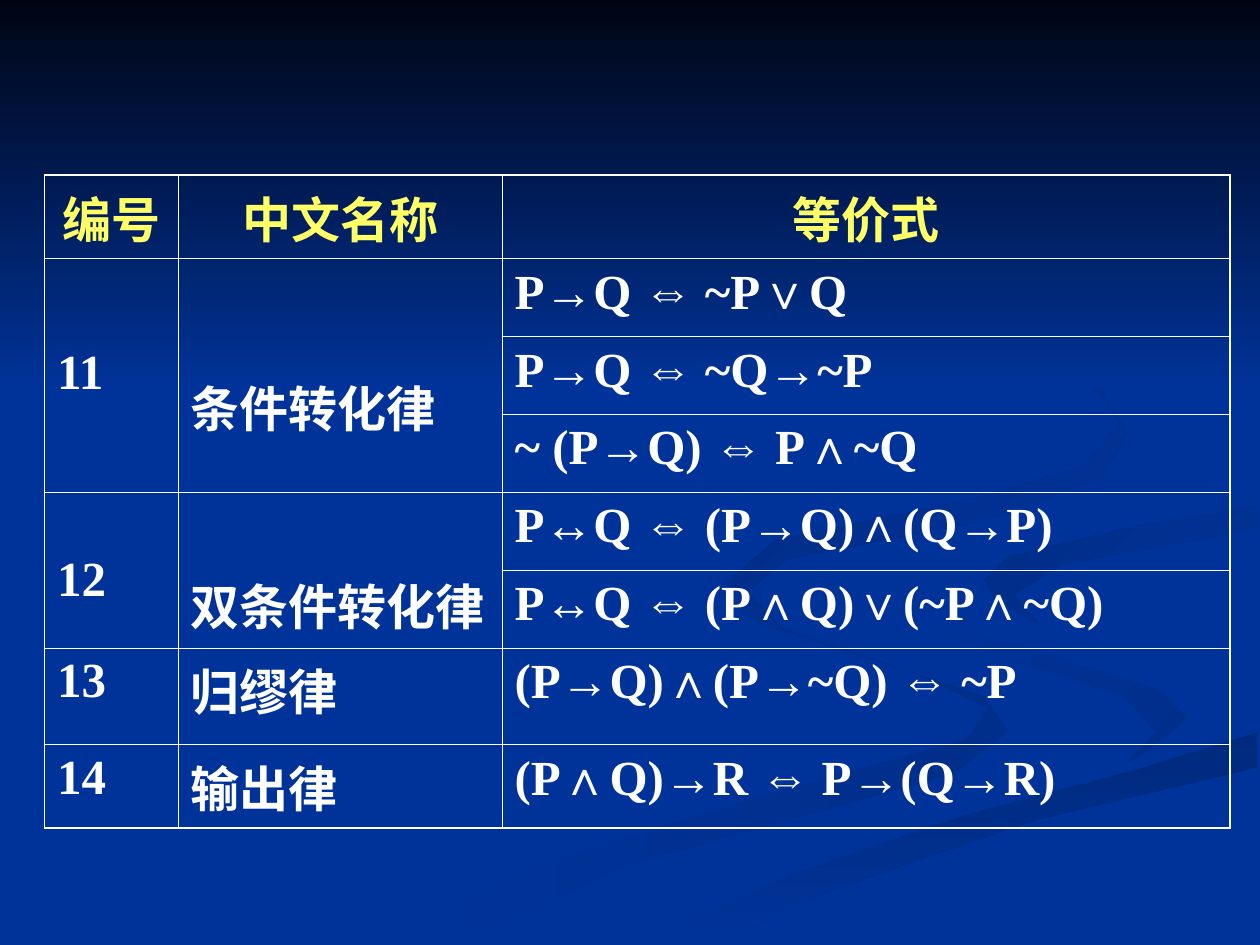
"""Build a slide with a table of logical equivalence laws 11 to 14."""
from lxml.etree import SubElement
from pptx import Presentation
from pptx.dml.color import RGBColor
from pptx.enum.shapes import MSO_SHAPE
from pptx.enum.text import PP_ALIGN
from pptx.oxml.ns import qn
from pptx.util import Cm, Pt

BLUE = RGBColor(0x00, 0x33, 0x99)
NIGHT = RGBColor(0x00, 0x05, 0x14)
DEEP = RGBColor(0x00, 0x2A, 0x7D)
DIM = RGBColor(0x00, 0x2B, 0x82)
DUSK = RGBColor(0x00, 0x2D, 0x86)
SHADE = RGBColor(0x00, 0x2E, 0x8B)
WHITE = RGBColor(0xFF, 0xFF, 0xFF)
YELLOW = RGBColor(0xFF, 0xFF, 0x66)


def write(cell, text, color=WHITE, align=PP_ALIGN.LEFT, space=1.0, size=28):
    para = cell.text_frame.paragraphs[0]
    para.alignment = align
    para.line_spacing = space
    for part in text.partition("⇔"):
        if part:
            run = para.add_run()
            run.text = part
            run.font.name = "Arial" if part == "⇔" else "Times New Roman"
            run.font.size = Pt(size)
            run.font.bold = True
            run.font.color.rgb = color


def paint(shape, first, last, angle):
    shape.shadow.inherit = False
    shape.line.fill.background()
    shape.fill.gradient()
    shape.fill.gradient_angle = angle
    for stop, color in zip(shape.fill.gradient_stops, (first, last)):
        stop.color.rgb = color


deck = Presentation()
deck.slide_width, deck.slide_height = Cm(25.4), Cm(19.05)
slide = deck.slides.add_slide(deck.slide_layouts[6])
slide.background.fill.solid()
slide.background.fill.fore_color.rgb = BLUE

rim = [(724, 464), (745, 490), (831, 519), (920, 547), (943, 570)]
ridge = [(503, 749), (630, 693), (765, 647), (904, 610), (998, 581)]
fold = [(998, 402), (898, 418), (799, 442), (781, 460)]
ribbon = [(575, 459), (570, 472), (602, 495), (728, 535), (785, 562),
          (767, 587), (579, 639), (417, 690), (300, 749), (361, 749),
          (499, 687), (756, 614), (800, 581), (781, 553), (614, 496)]
curl = [(762, 233), (846, 279), (889, 335), (861, 370), (763, 398),
        (615, 429), (577, 462), (622, 500), (593, 470), (624, 444),
        (786, 412), (876, 378), (894, 344), (864, 291)]
hook = rim + [(937, 586), (894, 605), (918, 581), (892, 553), (766, 512)]
band = ridge + [(998, 609), (821, 651), (649, 710), (571, 749)]
leaf = fold + [(791, 478), (826, 496), (805, 472), (843, 448), (998, 420)]
sweep = (rim + [(902, 603), (743, 643), (573, 703), (477, 749)] + ridge
         + [(998, 538), (848, 503), (786, 473)] + fold[::-1]
         + [(998, 387), (808, 417), (742, 439)])
swirls = [(ribbon, BLUE, SHADE, 0), (hook, BLUE, SHADE, 315),
          (band, DEEP, BLUE, 270), (sweep, BLUE, BLUE, 0),
          (leaf, DUSK, BLUE, 315), (curl, DIM, BLUE, 315)]
for points, first, last, angle in swirls:
    pen = slide.shapes.build_freeform(*points[0], scale=Cm(0.0254))
    pen.add_line_segments(points[1:], close=True)
    paint(pen.convert_to_shape(), first, last, angle)
sky = slide.shapes.add_shape(MSO_SHAPE.RECTANGLE, 0, 0, Cm(25.4), Cm(7.82))
paint(sky, NIGHT, BLUE, 270)

laws = [
    ("11", "条件转化律", 2.5, ["P→Q ⇔ ~P∨Q", "P→Q ⇔ ~Q→~P", "~ (P→Q) ⇔ P∧~Q"]),
    ("12", "双条件转化律", 2.0, ["P↔Q ⇔ (P→Q)∧(Q→P)", "P↔Q ⇔ (P∧Q)∨(~P∧~Q)"]),
    ("13", "归缪律", 1.0, ["(P→Q)∧(P→~Q) ⇔ ~P"]),
    ("14", "输出律", 1.0, ["(P∧Q)→R ⇔ P→(Q→R)"]),
]
widths = [2.69, 6.53, 14.68]
heights = [1.57] * 6 + [1.95, 1.57]
rows, cols = len(heights), len(widths)
grid = slide.shapes.add_table(
    rows, cols, Cm(0.9), Cm(3.53), Cm(sum(widths)), Cm(sum(heights))).table
grid.first_row = grid.horz_banding = False
for col, width in zip(grid.columns, widths):
    col.width = Cm(width)
for row, height in zip(grid.rows, heights):
    row.height = Cm(height)

for r in range(rows):
    for c in range(cols):
        cell = grid.cell(r, c)
        props = cell._tc.get_or_add_tcPr()
        edges = {"L": c == 0, "R": c == cols - 1, "T": r == 0, "B": r == rows - 1}
        for side, outer in edges.items():
            line = SubElement(props, qn(f"a:ln{side}"), w=str(Pt(1.08 if outer else 0.45)))
            fill = SubElement(line, qn("a:solidFill"))
            SubElement(fill, qn("a:srgbClr"), val=str(WHITE))
        cell.fill.background()

for c, title in enumerate(["编号", "中文名称", "等价式"]):
    write(grid.cell(0, c), title, color=YELLOW, align=PP_ALIGN.CENTER)
top = 1
for code, name, space, forms in laws:
    for c, text in enumerate([code, name]):
        if len(forms) > 1:
            grid.cell(top, c).merge(grid.cell(top + len(forms) - 1, c))
        write(grid.cell(top, c), text, space=space)
    for r, form in enumerate(forms, top):
        write(grid.cell(r, 2), form)
    top += len(forms)

deck.save("out.pptx")
